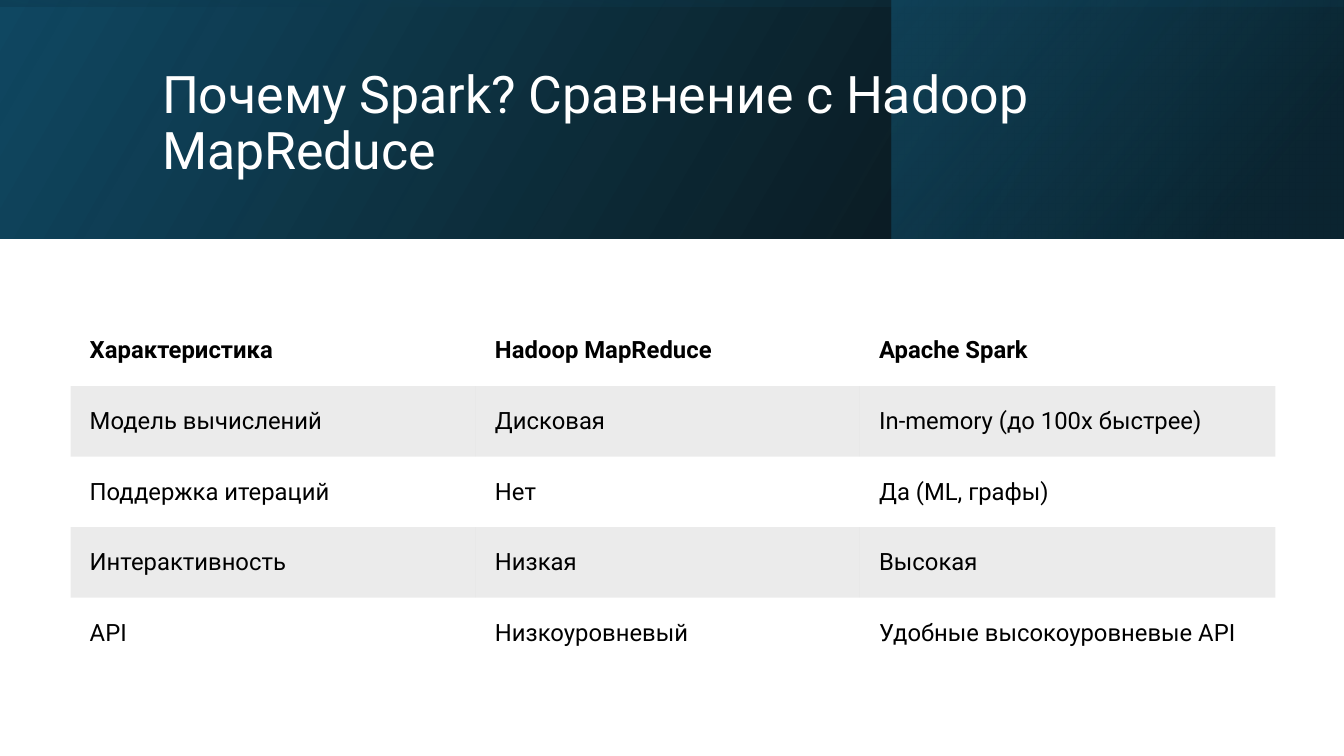
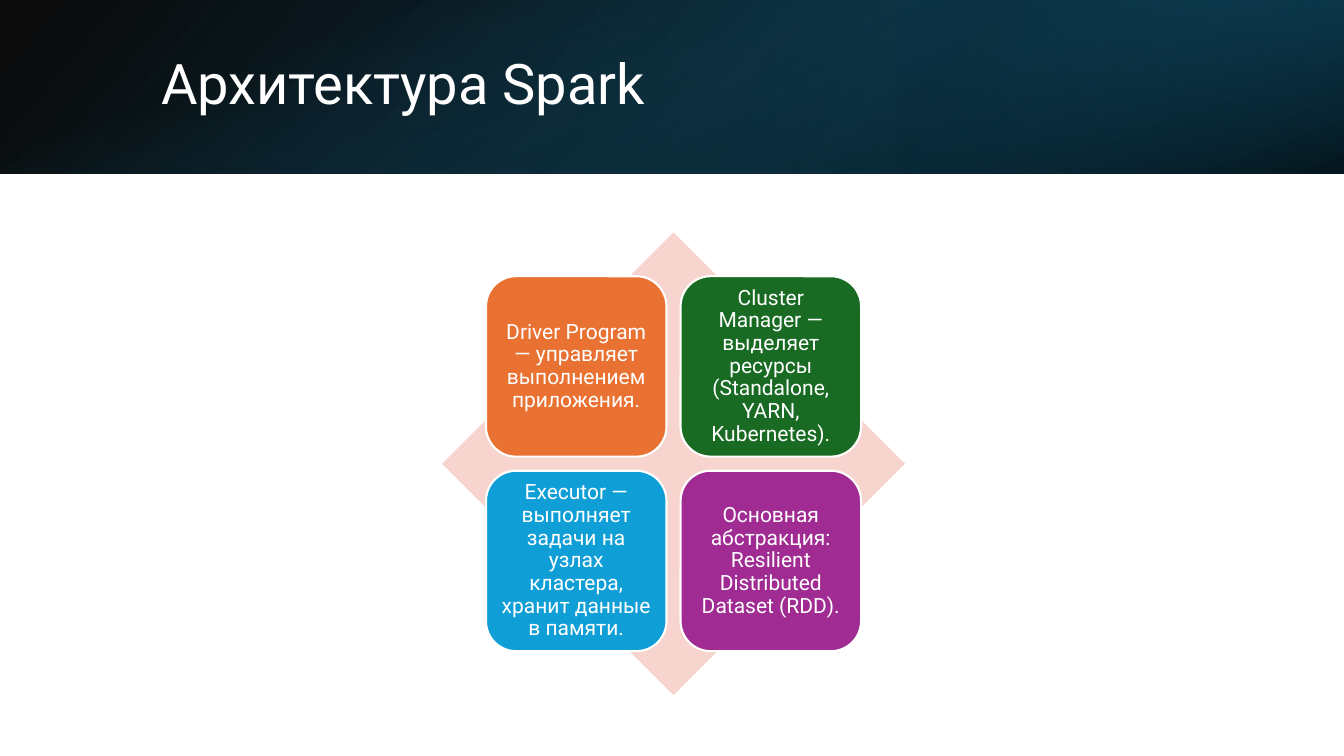
from dataclasses import dataclass

from lxml.etree import SubElement
from pptx import Presentation
from pptx.dml.color import RGBColor
from pptx.enum.shapes import MSO_SHAPE
from pptx.enum.text import MSO_ANCHOR, PP_ALIGN
from pptx.oxml.ns import qn
from pptx.util import Inches, Pt


@dataclass(frozen=True)
class Theme:
    font: str = "Roboto"
    white: str = "FFFFFF"
    black: str = "000000"
    navy: str = "104862"
    deep: str = "0B3041"
    teal: str = "156082"
    diamond: str = "F7D5CE"
    tiles: tuple = ("E97132", "196B24", "0F9ED5", "A02B93")
    stripe_alpha: int = 8
    cell_size: int = 17
    tile_size: int = 15


T = Theme()
SLIDE_W, SLIDE_H = 13.33, 7.5
NO_GRID_STYLE = "{2D5ABB26-0587-4C30-8999-92F81FD0307C}"

# Band layers: left, width, rotation, flipped, gradient angle,
# then stops as (position, colour, opacity), all in percent
COMPARISON = {
    "title": "Почему Spark? Сравнение с Hadoop MapReduce",
    "title_box": (1.51, 0.38, 10.63, 1.72),
    "title_size": 37,
    "band_height": 2.37,
    "layers": [
        (0, SLIDE_W, 0, True, 330, [(0, T.black, 96), (100, T.navy, 100)]),
        (8.84, 4.48, 0, True, 320, [(19, T.deep, 68), (100, T.teal, 48)]),
        (0, SLIDE_W, 270, True, 350, [(23, T.navy, 16), (99, T.black, 45)]),
    ],
}
ARCHITECTURE = {
    "title": "Архитектура Spark",
    "title_box": (1.5, 0.38, 10.98, 0.96),
    "title_size": 40,
    "band_height": 1.72,
    "layers": [
        (0, SLIDE_W, 0, True, 140, [(0, T.black, 96), (100, T.navy, 100)]),
        (8.89, 4.44, 180, True, 320, [(19, T.deep, 68), (100, T.teal, 79)]),
        (0, SLIDE_W, 90, False, 340, [(23, T.teal, 0), (99, T.black, 74)]),
    ],
}

TABLE_ROWS = [
    ("Характеристика", "Hadoop MapReduce", "Apache Spark"),
    ("Модель вычислений", "Дисковая", "In-memory (до 100x быстрее)"),
    ("Поддержка итераций", "Нет", "Да (ML, графы)"),
    ("Интерактивность", "Низкая", "Высокая"),
    ("API", "Низкоуровневый", "Удобные высокоуровневые API"),
]
COLUMN_WIDTHS = (4.02, 3.81, 4.12)
ROW_HEIGHT = 0.7
CELL_MARGIN = 0.19

COMPONENTS = [
    "Driver Program — управляет выполнением приложения.",
    "Cluster Manager — выделяет ресурсы (Standalone, YARN, Kubernetes).",
    "Executor — выполняет задачи на узлах кластера, хранит данные в памяти.",
    "Основная абстракция: Resilient Distributed Dataset (RDD).",
]
MATRIX_CENTER = (6.68, 4.6)
DIAMOND_SIZE = 4.59
TILE_SIZE = 1.79
TILE_GAP = 0.14


def rgb(value):
    return RGBColor.from_string(value)


def set_opacity(element, percents):
    """Give the RGB colours inside element their opacities, in order."""
    for color, percent in zip(list(element.iter(qn("a:srgbClr"))), percents):
        if percent < 100:
            SubElement(color, qn("a:alpha"), val=str(percent * 1000))


def write(tf, text, size, color=T.white, bold=False, align=PP_ALIGN.LEFT,
          line_spacing=None, margin=None):
    tf.word_wrap = True
    tf.vertical_anchor = MSO_ANCHOR.MIDDLE
    if margin is not None:
        tf.margin_left = tf.margin_right = Inches(margin)
        tf.margin_top = tf.margin_bottom = Inches(margin)
    p = tf.paragraphs[0]
    p.alignment = align
    if line_spacing:
        p.line_spacing = line_spacing
    r = p.add_run()
    r.text = text
    r.font.name, r.font.size, r.font.bold = T.font, Pt(size), bold
    r.font.color.rgb = rgb(color)


def add_box(slide, kind, left, top, width, height, fill=None, line=None):
    sp = slide.shapes.add_shape(kind, *map(Inches, (left, top, width, height)))
    sp.shadow.inherit = False
    if fill:
        sp.fill.solid()
        sp.fill.fore_color.rgb = rgb(fill)
    if line:
        sp.line.color.rgb = rgb(line)
        sp.line.width = Pt(1.5)
    else:
        sp.line.fill.background()
    return sp


def add_band_layer(slide, band_height, left, width, rotation, flipped, angle, stops):
    w, h = width, band_height
    if rotation % 180:
        w, h = h, w
    sp = add_box(slide, MSO_SHAPE.RECTANGLE, left + (width - w) / 2,
                 (band_height - h) / 2, w, h)
    sp.rotation = rotation
    if flipped:
        sp.element.spPr.xfrm.set("flipH", "1")
    sp.fill.gradient()
    sp.fill.gradient_angle = 360 - angle
    for stop, (position, color, _) in zip(sp.fill.gradient_stops, stops):
        stop.position = position / 100
        stop.color.rgb = rgb(color)
    set_opacity(sp.element.spPr, [opacity for _, _, opacity in stops])


def add_titled_slide(prs, content):
    slide = prs.slides.add_slide(prs.slide_layouts[6])
    for layer in content["layers"]:
        add_band_layer(slide, content["band_height"], *layer)
    box = slide.shapes.add_textbox(*map(Inches, content["title_box"]))
    write(box.text_frame, content["title"], content["title_size"], line_spacing=0.9)
    return slide


def add_comparison_table(slide):
    frame = slide.shapes.add_table(
        len(TABLE_ROWS), len(COLUMN_WIDTHS), Inches(0.7), Inches(3.13),
        Inches(sum(COLUMN_WIDTHS)), Inches(ROW_HEIGHT * len(TABLE_ROWS)))
    table = frame.table
    table.first_row = table.horz_banding = False
    next(frame.element.iter(qn("a:tableStyleId"))).text = NO_GRID_STYLE
    for column, width in zip(table.columns, COLUMN_WIDTHS):
        column.width = Inches(width)
    for i, texts in enumerate(TABLE_ROWS):
        table.rows[i].height = Inches(ROW_HEIGHT)
        for j, text in enumerate(texts):
            cell = table.cell(i, j)
            cell.vertical_anchor = MSO_ANCHOR.MIDDLE
            cell.margin_left = cell.margin_right = Inches(CELL_MARGIN)
            cell.margin_top = cell.margin_bottom = Inches(CELL_MARGIN)
            if i % 2:
                cell.fill.solid()
                cell.fill.fore_color.rgb = rgb(T.black)
                set_opacity(cell._tc.tcPr, [T.stripe_alpha])
            else:
                cell.fill.background()
            write(cell.text_frame, text, T.cell_size, T.black, bold=i == 0)


def add_component_matrix(slide):
    cx, cy = MATRIX_CENTER
    add_box(slide, MSO_SHAPE.DIAMOND, cx - DIAMOND_SIZE / 2, cy - DIAMOND_SIZE / 2,
            DIAMOND_SIZE, DIAMOND_SIZE, T.diamond)
    step = TILE_SIZE + TILE_GAP
    start = TILE_SIZE + TILE_GAP / 2
    for i, (text, color) in enumerate(zip(COMPONENTS, T.tiles)):
        row, col = divmod(i, 2)
        sp = add_box(slide, MSO_SHAPE.ROUNDED_RECTANGLE, cx - start + col * step,
                     cy - start + row * step, TILE_SIZE, TILE_SIZE, color, T.white)
        write(sp.text_frame, text, T.tile_size, align=PP_ALIGN.CENTER,
              line_spacing=0.9, margin=0.06)


def main():
    prs = Presentation()
    prs.slide_width, prs.slide_height = Inches(SLIDE_W), Inches(SLIDE_H)
    add_comparison_table(add_titled_slide(prs, COMPARISON))
    add_component_matrix(add_titled_slide(prs, ARCHITECTURE))
    prs.save("out.pptx")


if __name__ == "__main__":
    main()
